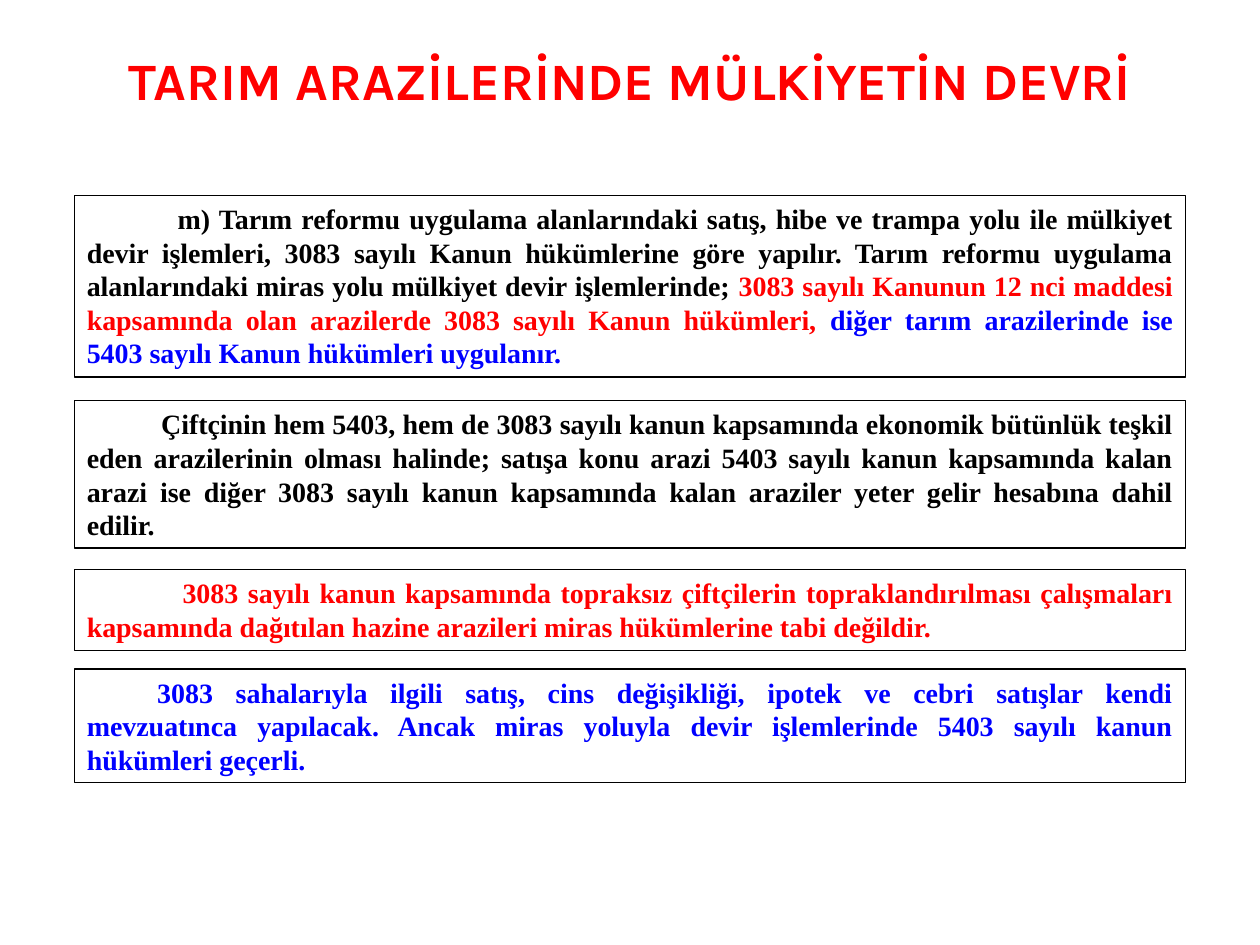
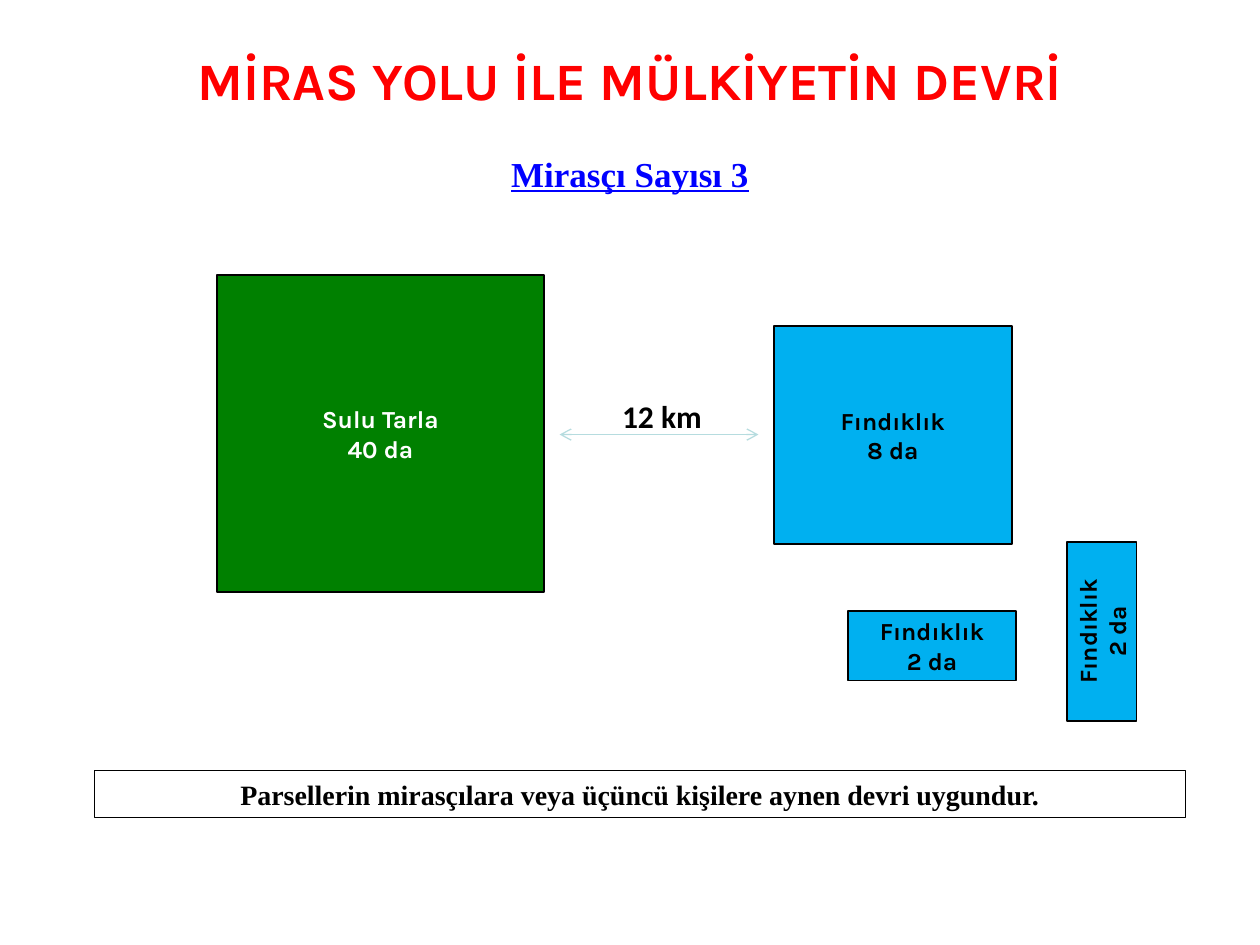
from lxml.etree import SubElement as Sub
from pptx import Presentation
from pptx.dml.color import RGBColor
from pptx.enum.shapes import MSO_CONNECTOR as Link, MSO_SHAPE as Form
from pptx.enum.text import MSO_ANCHOR as Anchor, MSO_AUTO_SIZE as Auto, PP_ALIGN as Align
from pptx.oxml.ns import qn
from pptx.util import Cm, Pt

BLACK, WHITE, RED, BLUE = "000000", "FFFFFF", "FF0000", "0000FF"
GREEN, SKY, PALE = "008000", "00B0F0", "B6DCDF"
SANS, SERIF, LABEL = "Karla", "Times New Roman", "Calibri"
WIDE = 25.4


def paint(color, code):
    color.rgb = RGBColor.from_string(code)


class Deck:
    def __init__(self):
        self.prs = Presentation()
        self.prs.slide_width, self.prs.slide_height = Cm(WIDE), Cm(19.05)
        self.slide = None

    def page(self, title):
        """Start a slide with its red title."""
        self.slide = self.prs.slides.add_slide(self.prs.slide_layouts[5])
        head = self.slide.shapes.title
        head.left, head.top, head.width, head.height = map(Cm, (0, 0.91, WIDE, 1.4))
        self.letter(head, [(title, RED)], 30, SANS)

    def letter(self, shape, runs, size, font, align=Align.CENTER,
               anchor=Anchor.MIDDLE, indent=0):
        """Fill a shape with (text, colour) runs; a line break starts a paragraph."""
        frame = shape.text_frame
        frame.word_wrap, frame.auto_size = True, Auto.NONE
        frame.vertical_anchor = anchor
        par = frame.paragraphs[0]
        for text, code in runs:
            for i, line in enumerate(text.split("\n")):
                if i:
                    par = frame.add_paragraph()
                run = par.add_run()
                run.text = line
                paint(run.font.color, code)
        for par in frame.paragraphs:
            par.alignment = align
            if indent:
                par._p.get_or_add_pPr().set("indent", str(Cm(indent)))
            par.font.size, par.font.name, par.font.bold = Pt(size), font, True

    def rect(self, place, fill=None, line=0.75):
        box = self.slide.shapes.add_shape(Form.RECTANGLE, *map(Cm, place))
        box.shadow.inherit = False
        if fill:
            box.fill.solid()
            paint(box.fill.fore_color, fill)
        else:
            box.fill.background()
        paint(box.line.color, BLACK)
        box.line.width = Pt(line)
        return box

    def note(self, place, runs, **style):
        """Draw an outlined statement."""
        self.letter(self.rect(place), runs, 16, SERIF, **style)

    def plot(self, place, text, fill=SKY, ink=BLACK):
        """Draw a parcel of land."""
        box = self.rect(place, fill, 1)
        self.letter(box, [(text, ink)], 14, SANS)
        return box

    def text(self, place, text, size, font, code, align):
        box = self.slide.shapes.add_textbox(*map(Cm, place))
        self.letter(box, [(text, code)], size, font, align, Anchor.TOP)
        return box

    def arrow(self, left, right, top):
        """Draw a level arrow with two heads."""
        link = self.slide.shapes.add_connector(
            Link.STRAIGHT, Cm(left), Cm(top), Cm(right), Cm(top))
        paint(link.line.color, PALE)
        link.line.width = Pt(0.75)
        edge = link.line._get_or_add_ln()
        for end in ("a:headEnd", "a:tailEnd"):
            Sub(edge, qn(end), type="arrow")
        Sub(link._element.spPr, qn("a:effectLst"))


def transfer(deck):
    deck.page("TARIM ARAZİLERİNDE MÜLKİYETİN DEVRİ")
    rules = [
        (3.94, 3.66, 1.83, [
            ("m) Tarım reformu uygulama alanlarındaki satış, hibe ve trampa yolu ile "
             "mülkiyet devir işlemleri, 3083 sayılı Kanun hükümlerine göre yapılır. "
             "Tarım reformu uygulama alanlarındaki miras yolu mülkiyet devir "
             "işlemlerinde; ", BLACK),
            ("3083 sayılı Kanunun 12 nci maddesi kapsamında olan arazilerde 3083 "
             "sayılı Kanun hükümleri, ", RED),
            ("diğer tarım arazilerinde ise 5403 sayılı Kanun hükümleri uygulanır.",
             BLUE)]),
        (8.08, 2.97, 1.5, [
            ("Çiftçinin hem 5403, hem de 3083 sayılı kanun kapsamında ekonomik "
             "bütünlük teşkil eden arazilerinin olması halinde; satışa konu arazi "
             "5403 sayılı kanun kapsamında kalan arazi ise diğer 3083 sayılı kanun "
             "kapsamında kalan araziler yeter gelir hesabına dahil edilir.", BLACK)]),
        (11.48, 1.63, 1.93, [
            ("3083 sayılı kanun kapsamında topraksız çiftçilerin topraklandırılması "
             "çalışmaları kapsamında dağıtılan hazine arazileri miras hükümlerine "
             "tabi değildir.", RED)]),
        (13.49, 2.29, 1.42, [
            ("3083 sahalarıyla ilgili satış, cins değişikliği, ipotek ve cebri "
             "satışlar kendi mevzuatınca yapılacak. Ancak miras yoluyla devir "
             "işlemlerinde 5403 sayılı kanun hükümleri geçerli.", BLUE)]),
    ]
    for top, high, indent, runs in rules:
        deck.note((1.5, top, 22.4, high), runs, align=Align.JUSTIFY,
                  anchor=Anchor.TOP, indent=indent)


def heirs(deck):
    deck.page("MİRAS YOLU İLE MÜLKİYETİN DEVRİ")
    count = deck.text((0, 2.95, WIDE, 1.12), "Mirasçı Sayısı 3", 20, SERIF, BLUE,
                      Align.CENTER)
    count.text_frame.paragraphs[0].font.underline = True
    deck.plot((4.37, 5.54, 6.6, 6.4), "Sulu Tarla\n40 da", GREEN, WHITE)
    deck.plot((15.6, 6.58, 4.8, 4.39), "Fındıklık\n8 da")
    deck.arrow(11.28, 15.29, 8.76)
    deck.text((12.29, 7.87, 2.41, 1.02), "12 km", 18, LABEL, BLACK, Align.LEFT)
    deck.note((1.9, 15.54, 22, 0.94),
              [("Parsellerin mirasçılara veya üçüncü kişilere aynen devri uygundur.",
                BLACK)])
    deck.plot((17.09, 12.32, 3.4, 1.4), "Fındıklık\n2 da")
    strip = deck.plot((21.51, 10.92, 1.4, 3.61), "Fındıklık\n2 da").text_frame
    strip._txBody.bodyPr.set("vert", "vert270")
    strip.margin_left = strip.margin_right = Cm(0.13)
    strip.margin_top = strip.margin_bottom = Cm(0.25)


def main():
    deck = Deck()
    transfer(deck)
    heirs(deck)
    deck.prs.save("out.pptx")


if __name__ == "__main__":
    main()
